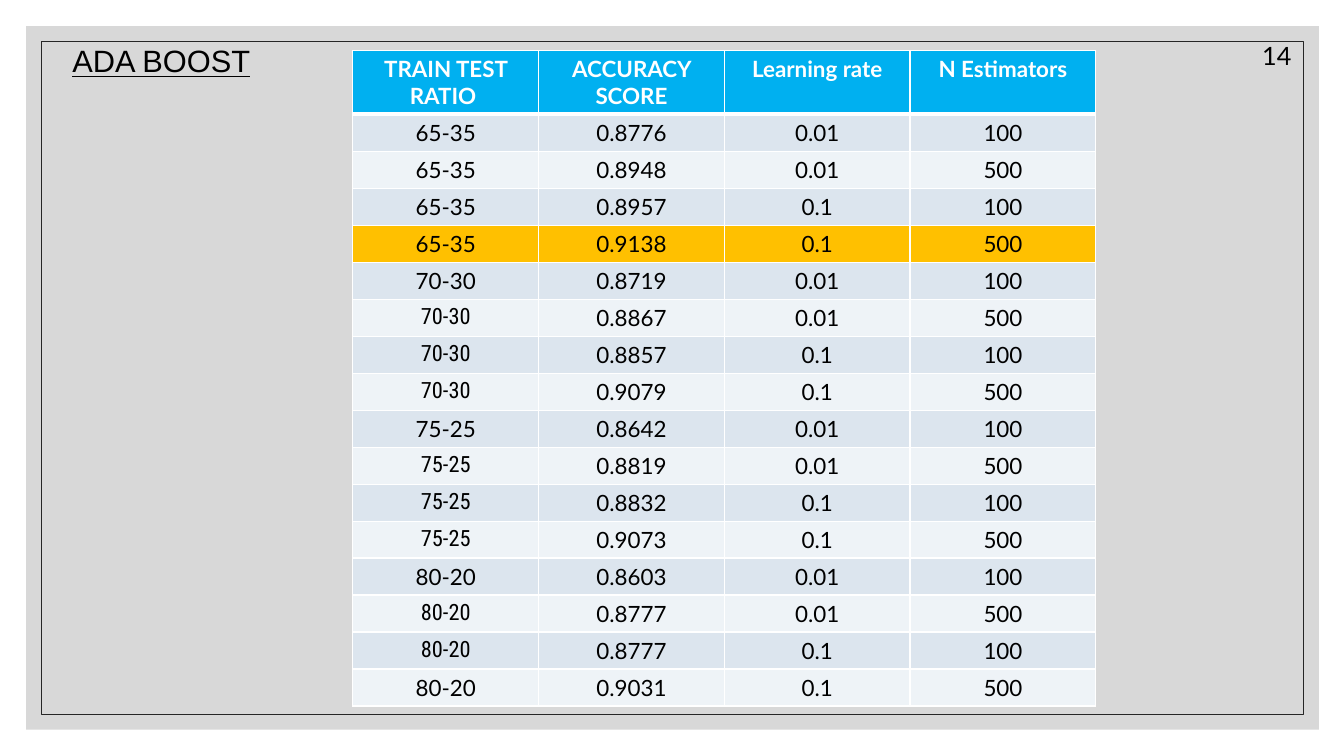
from dataclasses import dataclass
from itertools import product

from lxml.etree import SubElement
from pptx import Presentation
from pptx.dml.color import RGBColor as Color
from pptx.enum.shapes import MSO_SHAPE as Shape
from pptx.enum.text import MSO_ANCHOR as Anchor, PP_ALIGN as Align
from pptx.oxml import parse_xml
from pptx.oxml.ns import nsdecls, qn
from pptx.util import Inches, Pt


@dataclass(frozen=True)
class Theme:
    panel: str = "BFBFBF"
    frame: str = "262626"
    ink: str = "000000"
    white: str = "FFFFFF"
    header: str = "00B0F0"
    best: str = "FFC000"
    bands: tuple = ("DCE5EE", "EEF3F7")
    title_font: str = "Arial"
    body_font: str = "Lato"
    narrow_font: str = "Roboto Condensed"
    title_size: int = 22
    number_size: int = 18
    table_size: int = 16


HEADINGS = ("TRAIN TEST RATIO ", "ACCURACY SCORE", "Learning rate", "N Estimators")
SCORES = {
    "65-35": ("0.8776", "0.8948", "0.8957", "0.9138"),
    "70-30": ("0.8719", "0.8867", "0.8857", "0.9079"),
    "75-25": ("0.8642", "0.8819", "0.8832", "0.9073"),
    "80-20": ("0.8603", "0.8777", "0.8777", "0.9031"),
}
SETTINGS = tuple(product(("0.01", "0.1"), ("100", "500")))
BEST_ROW = 4
NARROW_ROWS = {6, 7, 8, 10, 11, 12, 14, 15}


class SlideBuilder:
    """Draws styled elements on the current slide."""

    def __init__(self, deck, theme):
        self.theme = theme
        self.page = deck.slides.add_slide(deck.slide_layouts[6])

    def add_span(self, para, text, size, font, color, bold=False, underline=False):
        span = para.add_run()
        span.text = text
        span.font.size = Pt(size)
        span.font.name = font
        span.font.bold = bold
        span.font.underline = underline
        span.font.color.rgb = Color.from_string(color)

    def add_rectangle(self, left, top, width, height, fill=None, opacity=100, line=None):
        box = self.page.shapes.add_shape(
            Shape.RECTANGLE, Inches(left), Inches(top), Inches(width), Inches(height))
        box.shadow.inherit = False
        if fill:
            box.fill.solid()
            box.fill.fore_color.rgb = Color.from_string(fill)
            tint = box.fill._xPr.find(qn("a:solidFill"))[0]
            SubElement(tint, qn("a:alpha"), val=str(opacity * 1000))
        else:
            box.fill.background()
        if line:
            box.line.color.rgb = Color.from_string(line)
            box.line.width = Pt(0.5)
        else:
            box.line.fill.background()

    def add_text(self, left, top, width, height, text, size, font,
                 anchor=Anchor.TOP, spacing=1.0, underline=False):
        box = self.page.shapes.add_textbox(
            Inches(left), Inches(top), Inches(width), Inches(height))
        box.text_frame.word_wrap = True
        box.text_frame.vertical_anchor = anchor
        para = box.text_frame.paragraphs[0]
        para.line_spacing = spacing
        self.add_span(para, text, size, font, self.theme.ink, underline=underline)

    def set_borders(self, cell, **widths):
        properties = cell._tc.get_or_add_tcPr()
        for index, side in enumerate("LRTB"):
            properties.insert(index, parse_xml(
                f'<a:ln{side} {nsdecls("a")} w="{Pt(widths.get(side, 1))}"><a:solidFill>'
                f'<a:srgbClr val="{self.theme.white}"/></a:solidFill></a:ln{side}>'))

    def fill_cell(self, cell, text, fill, font, color, bold):
        cell.fill.solid()
        cell.fill.fore_color.rgb = Color.from_string(fill)
        para = cell.text_frame.paragraphs[0]
        para.alignment = Align.CENTER
        self.add_span(para, text, self.theme.table_size, font, color, bold)

    def add_results(self, left, top, width, header_height, row_height, rows):
        theme = self.theme
        height = header_height + row_height * (len(rows) - 1)
        table = self.page.shapes.add_table(
            len(rows), len(rows[0]), Inches(left), Inches(top),
            Inches(width), Inches(height)).table
        table.horz_banding = False
        for number, values in enumerate(rows):
            heading = number == 0
            table.rows[number].height = Inches(header_height if heading else row_height)
            fill = theme.bands[(number - 1) % 2]
            if heading:
                fill = theme.header
            elif number == BEST_ROW:
                fill = theme.best
            for column, text in enumerate(values):
                narrow = column == 0 and number in NARROW_ROWS
                cell = table.cell(number, column)
                self.fill_cell(cell, text, fill,
                               theme.narrow_font if narrow else theme.body_font,
                               theme.white if heading else theme.ink, heading)
                self.set_borders(cell, T=3 if number == 1 else 1, B=3 if heading else 1)


def main():
    deck = Presentation()
    deck.slide_width, deck.slide_height = Inches(13.33), Inches(7.5)
    theme = Theme()
    slide = SlideBuilder(deck, theme)
    slide.add_rectangle(0.26, 0.26, 12.82, 6.98, fill=theme.panel, opacity=60)
    slide.add_rectangle(0.41, 0.41, 12.52, 6.68, line=theme.frame)
    slide.add_text(0.62, 0.3, 10.83, 0.65, "ADA BOOST", theme.title_size,
                   theme.title_font, Anchor.MIDDLE, 0.9, underline=True)
    results = [(ratio, score, *setting)
               for ratio, scores in SCORES.items()
               for score, setting in zip(scores, SETTINGS)]
    slide.add_results(3.5, 0.5, 7.37, 0.58, 0.33, [HEADINGS, *results])
    slide.add_text(12.42, 0.35, 0.8, 0.4, "14", theme.number_size, theme.body_font)
    deck.save("out.pptx")


if __name__ == "__main__":
    main()
